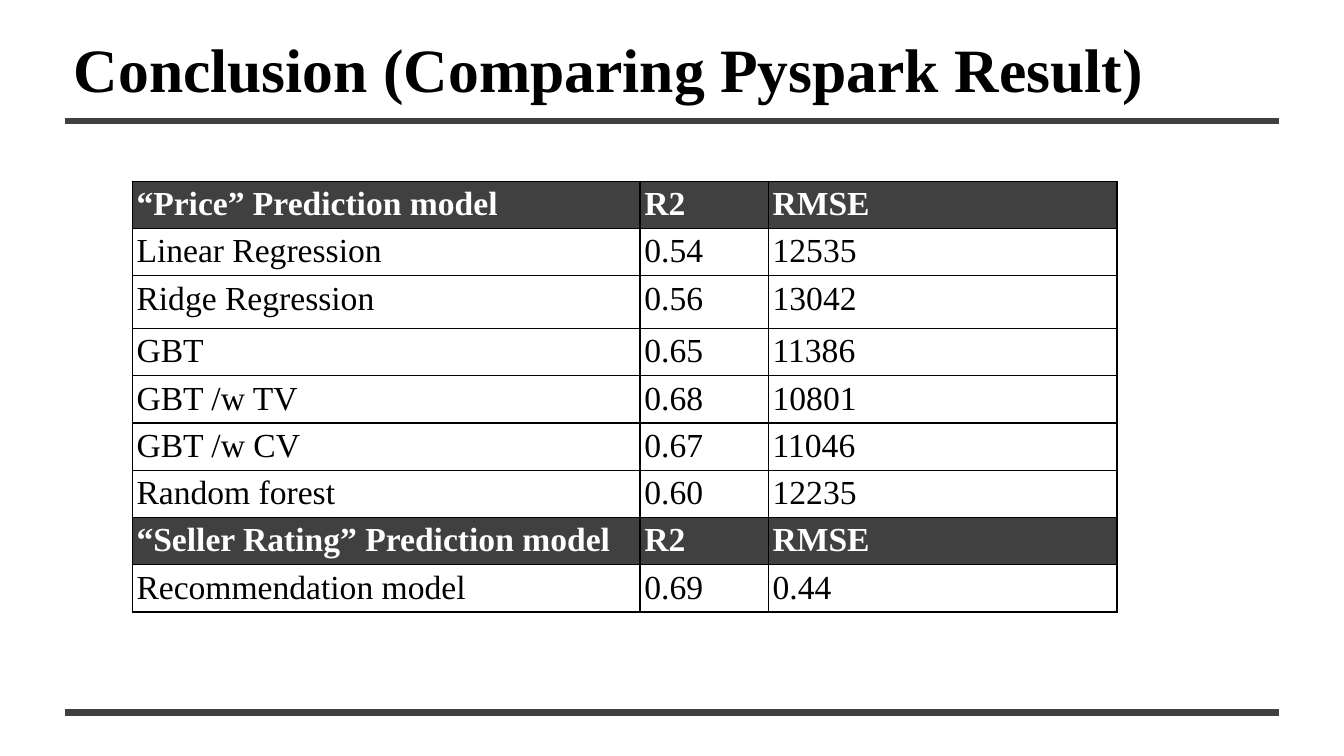
from lxml import etree
from pptx import Presentation
from pptx import util as u
from pptx.dml.color import RGBColor
from pptx.enum import shapes, text
from pptx.oxml import ns

COLORS = {"dark": "404040", "white": "FFFFFF", "black": "000000"}
FONT = "Times New Roman"
PADDING = u.Cm(0.11)
SIDES = ("left", "right", "top", "bottom")
ROWS = [
    ("“Price” Prediction model", "R2", "RMSE"),
    ("Linear Regression", "0.54", "12535"),
    ("Ridge Regression", "0.56", "13042"),
    ("GBT", "0.65", "11386"),
    ("GBT /w TV", "0.68", "10801"),
    ("GBT /w CV", "0.67", "11046"),
    ("Random forest", "0.60", "12235"),
    ("“Seller Rating” Prediction model", "R2", "RMSE"),
    ("Recommendation model", "0.69", "0.44"),
]
HEADER_ROWS = (0, 7)
TALL_ROW = 2
COLUMN_WIDTHS = (12.8, 3.23, 8.79)


def write(holder, words, size, color, bold):
    """Put one styled run into a text box or table cell."""
    for side in SIDES:
        setattr(holder, f"margin_{side}", PADDING)
    para = holder.text_frame.paragraphs[0] if hasattr(holder, "text_frame") else holder.paragraphs[0]
    span = para.add_run()
    span.text = words
    span.font.name = FONT
    span.font.size = u.Pt(size)
    span.font.bold = bold
    span.font.color.rgb = RGBColor.from_string(COLORS[color])


def add_borders(cell):
    props = cell._tc.get_or_add_tcPr()
    for index, edge in enumerate(("a:lnL", "a:lnR", "a:lnT", "a:lnB")):
        line = etree.Element(ns.qn(edge), w=str(u.Pt(1)))
        fill = etree.SubElement(line, ns.qn("a:solidFill"))
        etree.SubElement(fill, ns.qn("a:srgbClr"), val=COLORS["black"])
        props.insert(index, line)


deck = Presentation()
deck.slide_width, deck.slide_height = u.Cm(33.87), u.Cm(19.05)
page = deck.slides.add_slide(deck.slide_layouts[6])

# Results table
heights = [1.33 if index == TALL_ROW else 1.19 for index in range(len(ROWS))]
frame = page.shapes.add_table(
    len(ROWS), len(COLUMN_WIDTHS), u.Cm(3.33), u.Cm(4.57),
    u.Cm(sum(COLUMN_WIDTHS)), u.Cm(sum(heights)))
table = frame.table
table.first_row = table.horz_banding = False
for column, width in zip(table.columns, COLUMN_WIDTHS):
    column.width = u.Cm(width)
for index, values in enumerate(ROWS):
    table.rows[index].height = u.Cm(heights[index])
    header = index in HEADER_ROWS
    for cell, value in zip(table.rows[index].cells, values):
        cell.fill.solid()
        cell.fill.fore_color.rgb = RGBColor.from_string(COLORS["dark" if header else "white"])
        write(cell, value, 24, "white" if header else "black", header)
        add_borders(cell)

# Rules under the title and at the foot
for y in (3.05, 17.96):
    rule = page.shapes.add_connector(
        shapes.MSO_CONNECTOR.STRAIGHT, u.Cm(1.63), u.Cm(y), u.Cm(32.23), u.Cm(y))
    rule.line.color.rgb = RGBColor.from_string(COLORS["dark"])
    rule.line.width = u.Pt(4.75)
    etree.SubElement(rule._element.spPr, ns.qn("a:effectLst"))

# Title
title = page.shapes.add_textbox(u.Cm(1.75), u.Cm(0.66), u.Cm(27.23), u.Cm(1.98)).text_frame
title.word_wrap = False
title.auto_size = text.MSO_AUTO_SIZE.SHAPE_TO_FIT_TEXT
write(title, "Conclusion (Comparing Pyspark Result)", 44, "black", True)

deck.save("out.pptx")
